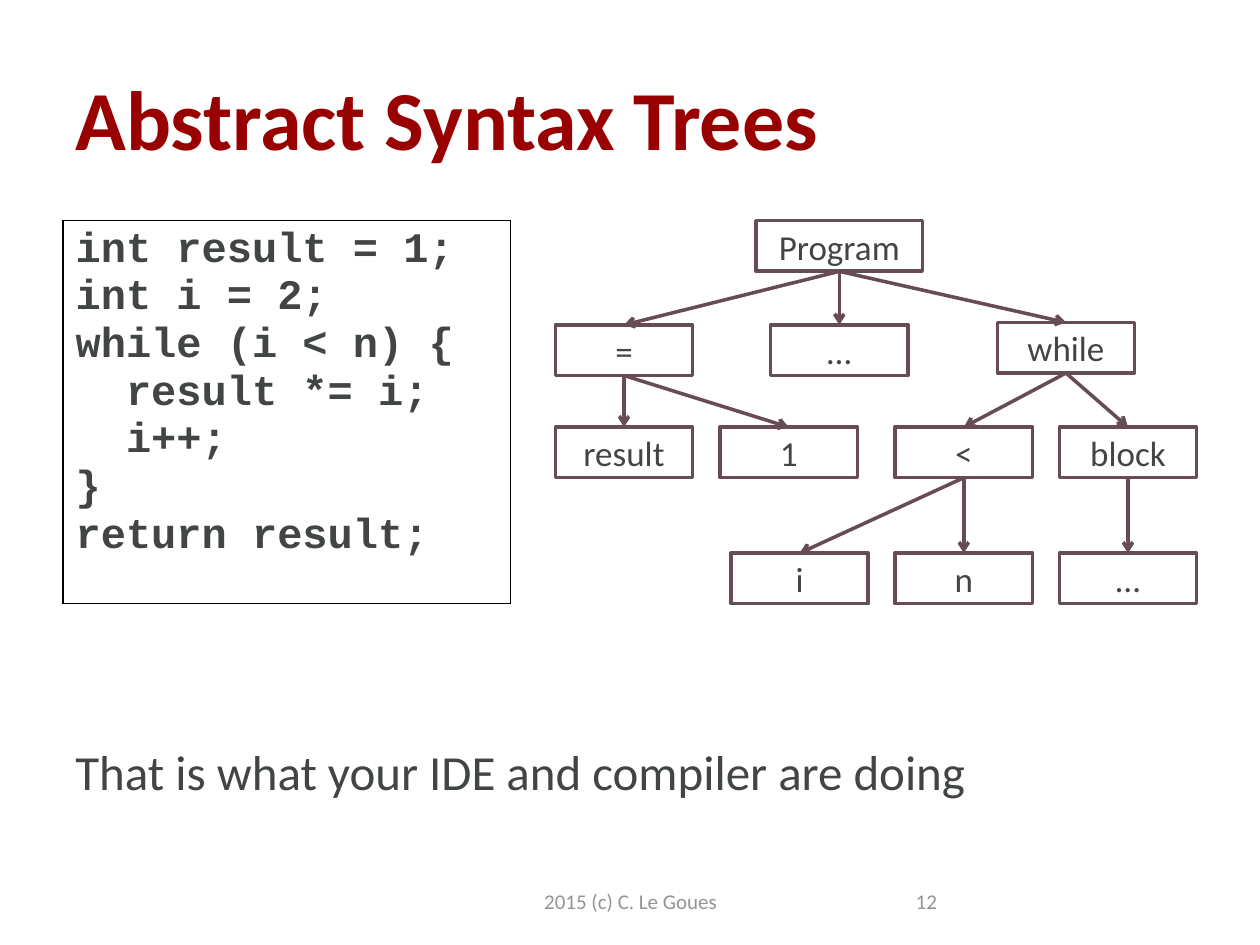
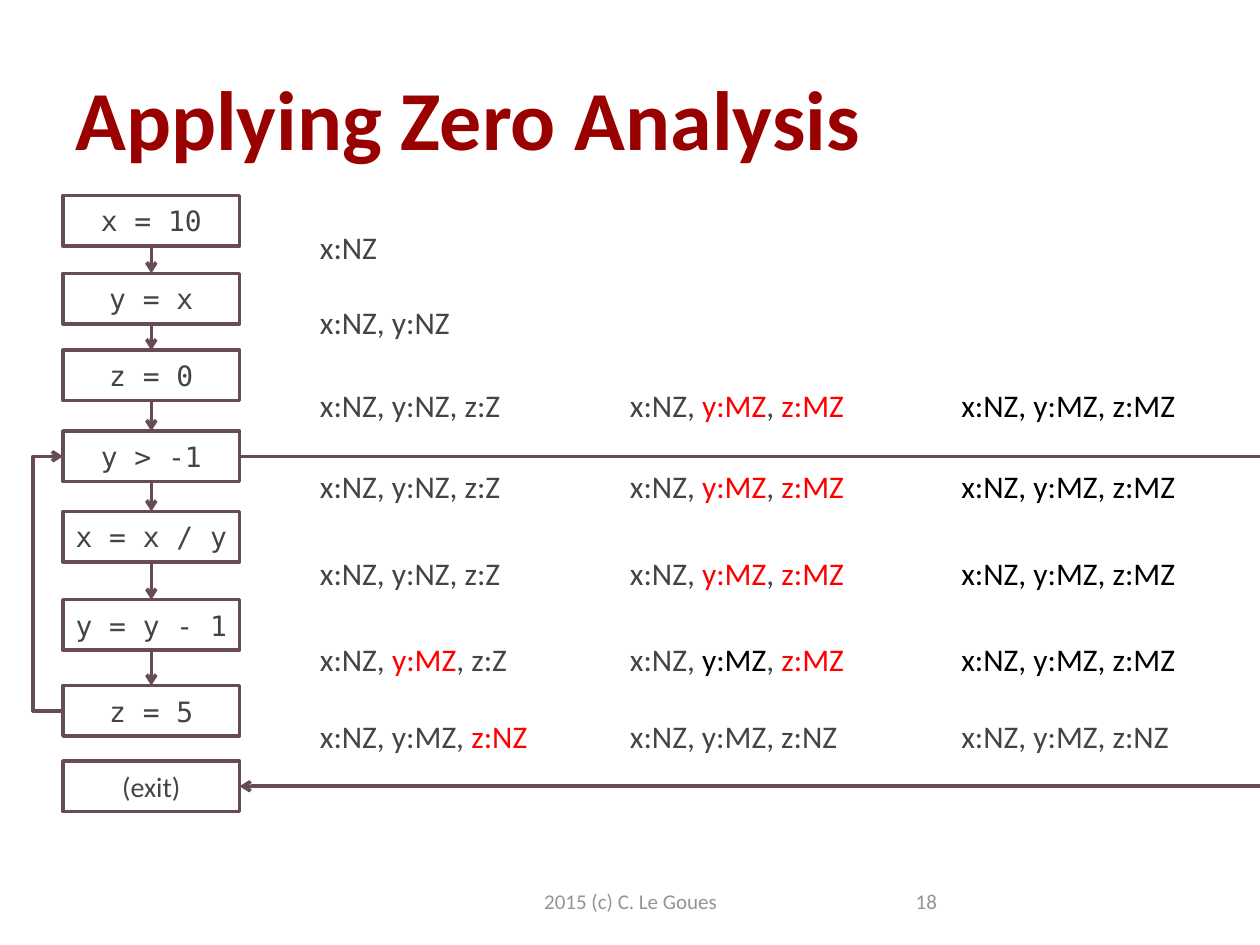
from lxml.etree import SubElement
from pptx import Presentation
from pptx.dml.color import RGBColor
from pptx.enum.shapes import MSO_CONNECTOR, MSO_SHAPE
from pptx.enum.text import MSO_ANCHOR, PP_ALIGN
from pptx.oxml.ns import qn
from pptx.util import Cm, Pt

# Shared look
RED, TEXT, PLUM, GRAY = "990000", "424545", "674C56", "939494"
ALERT, BLACK, WHITE = "FF0000", "000000", "FFFFFF"
SANS, CODE, MONO = "Calibri", "Courier New", "DejaVu Sans Mono"
FOOTER = "2015 (c) C. Le Goues"
BOX_HEIGHT = 1.02
TOP, LEFT, BOTTOM, RIGHT = range(4)  # connection sites of a rectangle

# Slide 1: code and its syntax tree
PROGRAM = [
    "int result = 1;",
    "int i = 2;",
    "while (i < n) {",
    "  result *= i;",
    "  i++;",
    "}",
    "return result;",
]
CAPTION = "That is what your IDE and compiler are doing"
NODE_WIDTH, ROOT_WIDTH = 2.77, 3.35
TREE = {  # key: (label, centre x, top, parent)
    "program": ("Program", 16.92, 4.45, None),
    "assign": ("=", 12.58, 6.55, "program"),
    "more": ("…", 16.92, 6.55, "program"),
    "while": ("while", 21.49, 6.5, "program"),
    "result": ("result", 12.58, 8.61, "assign"),
    "one": ("1", 15.9, 8.61, "assign"),
    "less": ("<", 19.43, 8.61, "while"),
    "block": ("block", 22.74, 8.61, "while"),
    "i": ("i", 16.12, 11.15, "less"),
    "n": ("n", 19.43, 11.15, "less"),
    "body": ("…", 22.74, 11.15, "block"),
}

# Slide 2: control flow and the facts known after each step
STEP_LEFT, STEP_WIDTH = 1.27, 3.56
STEPS = [
    ("x = 10", 3.94), ("y = x", 5.51), ("z = 0", 7.06), ("y > -1", 8.69),
    ("x = x / y", 10.31), ("y = y - 1", 12.09), ("z = 5", 13.82), ("(exit)", 15.34),
]
LOOP_TEST, LOOP_END, EXIT = 3, 6, 7
LOOP_LEFT = 0.67
PASS_LEFTS = [6.2, 12.45, 19.13]
FACT_WIDTH = 4.9

FIRST = [("x:NZ, y:NZ, z:Z", TEXT)]
CHANGED = [("x:NZ, ", TEXT), ("y:MZ", ALERT), (", ", TEXT), ("z:MZ", ALERT)]
STABLE = [("x:NZ, y:MZ, z:MZ", BLACK)]
LAST = [("x:NZ, y:MZ, z:NZ", TEXT)]
FACTS = [  # (top, facts of each pass)
    (4.47, [[("x:NZ", TEXT)]]),
    (5.99, [[("x:NZ, y:NZ", TEXT)]]),
    (7.65, [FIRST, CHANGED, STABLE]),
    (9.3, [FIRST, CHANGED, STABLE]),
    (11.05, [FIRST, CHANGED, STABLE]),
    (12.78, [
        [("x:NZ, ", TEXT), ("y:MZ", ALERT), (", z:Z", TEXT)],
        [("x:NZ, ", TEXT), ("y:MZ", BLACK), (", ", TEXT), ("z:MZ", ALERT)],
        STABLE,
    ]),
    (14.33, [[("x:NZ, y:MZ, ", TEXT), ("z:NZ", ALERT)], LAST, LAST]),
]


def rgb(value):
    return RGBColor.from_string(value)


def add_run(paragraph, text, size, color, font=SANS, bold=False):
    run = paragraph.add_run()
    run.text = text
    run.font.size, run.font.name, run.font.bold = Pt(size), font, bold
    run.font.color.rgb = rgb(color)


def add_text(slide, left, top, width, height, runs, size,
             anchor=MSO_ANCHOR.TOP, align=PP_ALIGN.LEFT, bold=False):
    shape = slide.shapes.add_textbox(Cm(left), Cm(top), Cm(width), Cm(height))
    frame = shape.text_frame
    frame.word_wrap, frame.vertical_anchor = True, anchor
    paragraph = frame.paragraphs[0]
    paragraph.alignment = align
    for text, color in runs:
        add_run(paragraph, text, size, color, bold=bold)


def add_box(slide, label, left, top, width, size, font):
    shape = slide.shapes.add_shape(
        MSO_SHAPE.RECTANGLE, Cm(left), Cm(top), Cm(width), Cm(BOX_HEIGHT))
    shape.shadow.inherit = False
    shape.fill.solid()
    shape.fill.fore_color.rgb = rgb(WHITE)
    style_line(shape)
    frame = shape.text_frame
    frame.word_wrap, frame.vertical_anchor = False, MSO_ANCHOR.MIDDLE
    paragraph = frame.paragraphs[0]
    paragraph.alignment = PP_ALIGN.CENTER
    add_run(paragraph, label, size, TEXT, font)
    return shape


def style_line(shape, arrow=False):
    shape.line.color.rgb = rgb(PLUM)
    shape.line.width = Pt(2)
    if arrow:
        SubElement(shape.line._get_or_add_ln(), qn("a:tailEnd"), type="arrow")


def add_line(slide, x1, y1, x2, y2, arrow=True):
    connector = slide.shapes.add_connector(MSO_CONNECTOR.STRAIGHT, x1, y1, x2, y2)
    style_line(connector, arrow)
    SubElement(connector._element.spPr, qn("a:effectLst"))
    return connector


def link_down(slide, upper, lower):
    connector = add_line(slide, 0, 0, 0, 0)
    connector.begin_connect(upper, BOTTOM)
    connector.end_connect(lower, TOP)


def new_slide(presentation, title, number):
    slide = presentation.slides.add_slide(presentation.slide_layouts[6])
    middle = MSO_ANCHOR.MIDDLE
    add_text(slide, 1.27, 0.76, 22.86, 3.18, [(title, RED)], 48, middle, bold=True)
    add_text(slide, 8.69, 17.65, 8.05, 1.02, [(FOOTER, GRAY)], 12, middle, PP_ALIGN.CENTER)
    add_text(slide, 18.21, 17.65, 5.92, 1.02, [(number, GRAY)], 12, middle)
    return slide


def add_code_table(slide):
    table = slide.shapes.add_table(1, 1, Cm(1.27), Cm(4.45), Cm(9.02), Cm(7.72)).table
    table.first_row = table.horz_banding = False
    cell = table.cell(0, 0)
    properties = cell._tc.get_or_add_tcPr()
    for side in ("a:lnL", "a:lnR", "a:lnT", "a:lnB"):
        border = SubElement(properties, qn(side), w=str(Pt(1)))
        SubElement(SubElement(border, qn("a:solidFill")), qn("a:srgbClr"), val=BLACK)
    cell.fill.background()
    frame = cell.text_frame
    for index, line in enumerate(PROGRAM):
        paragraph = frame.add_paragraph() if index else frame.paragraphs[0]
        add_run(paragraph, line, 24, TEXT, CODE, bold=True)


def build_syntax_tree(presentation):
    slide = new_slide(presentation, "Abstract Syntax Trees", "12")
    add_code_table(slide)
    nodes = {}
    for key, (label, center, top, parent) in TREE.items():
        width = NODE_WIDTH if parent else ROOT_WIDTH
        nodes[key] = add_box(slide, label, center - width / 2, top, width, 20, SANS)
        if parent:
            link_down(slide, nodes[parent], nodes[key])
    add_text(slide, 1.27, 14.83, 19.02, 1.45, [(CAPTION, TEXT)], 28)


def build_zero_analysis(presentation):
    slide = new_slide(presentation, "Applying Zero Analysis", "18")
    boxes = [
        add_box(slide, label, STEP_LEFT, top, STEP_WIDTH, 16,
                SANS if index == EXIT else MONO)
        for index, (label, top) in enumerate(STEPS)
    ]
    for upper, lower in zip(boxes[:LOOP_END], boxes[1:EXIT]):
        link_down(slide, upper, lower)

    # Loop back from the last step to the test
    middles = [box.top + box.height // 2 for box in boxes]
    edge, outer = Cm(STEP_LEFT), Cm(LOOP_LEFT)
    builder = slide.shapes.build_freeform(edge, middles[LOOP_END])
    builder.add_line_segments(
        [(outer, middles[LOOP_END]), (outer, middles[LOOP_TEST]),
         (edge, middles[LOOP_TEST])], close=False)
    loop = builder.convert_to_shape()
    loop.shadow.inherit = False
    loop.fill.background()
    style_line(loop, arrow=True)

    # Way out of the loop, by the right edge of the slide
    right, slide_edge = Cm(STEP_LEFT + STEP_WIDTH), presentation.slide_width
    leave = add_line(slide, right, middles[LOOP_TEST], slide_edge, middles[LOOP_TEST], False)
    leave.begin_connect(boxes[LOOP_TEST], RIGHT)
    enter = add_line(slide, slide_edge, middles[EXIT], right, middles[EXIT])
    enter.end_connect(boxes[EXIT], RIGHT)

    # Facts, one column for each pass
    for top, passes in FACTS:
        for left, runs in zip(PASS_LEFTS, passes):
            add_text(slide, left, top, FACT_WIDTH, BOX_HEIGHT, runs, 18)


def main():
    presentation = Presentation()
    presentation.slide_width, presentation.slide_height = Cm(25.4), Cm(19.05)
    build_syntax_tree(presentation)
    build_zero_analysis(presentation)
    presentation.save("out.pptx")


if __name__ == "__main__":
    main()
